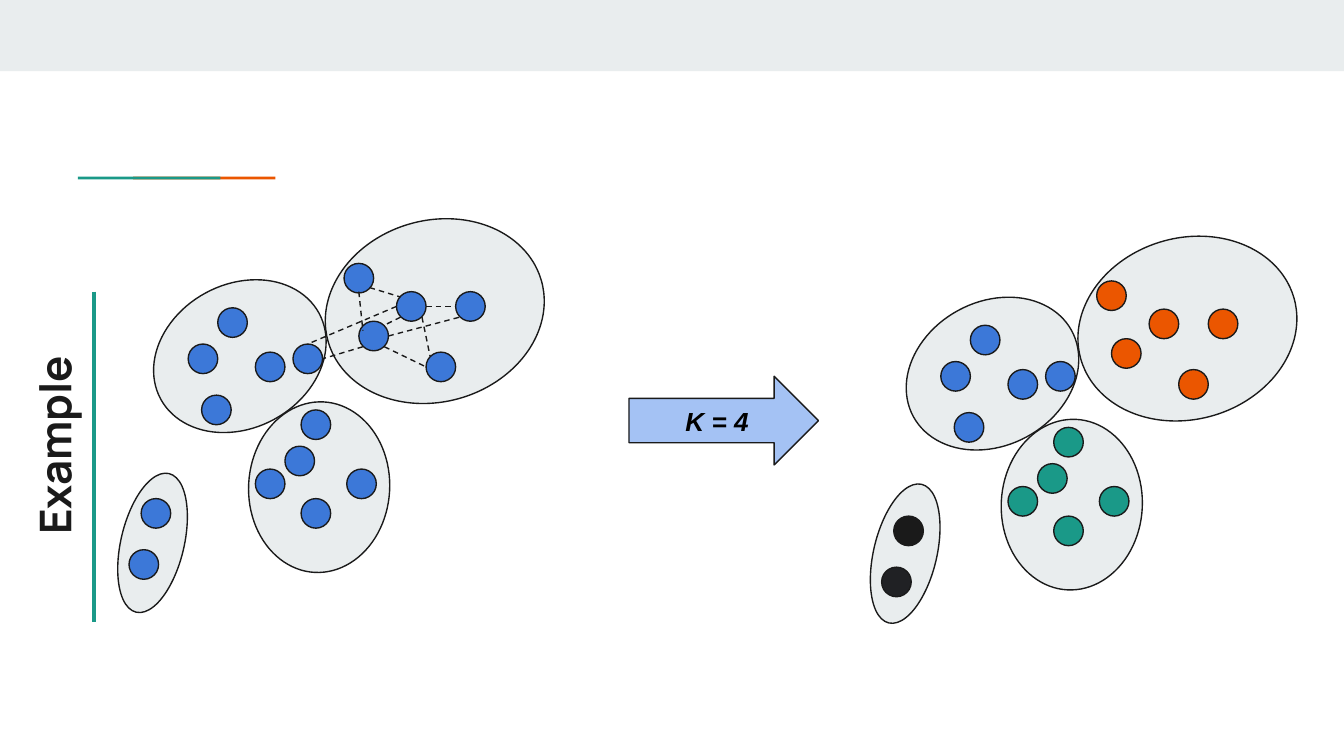
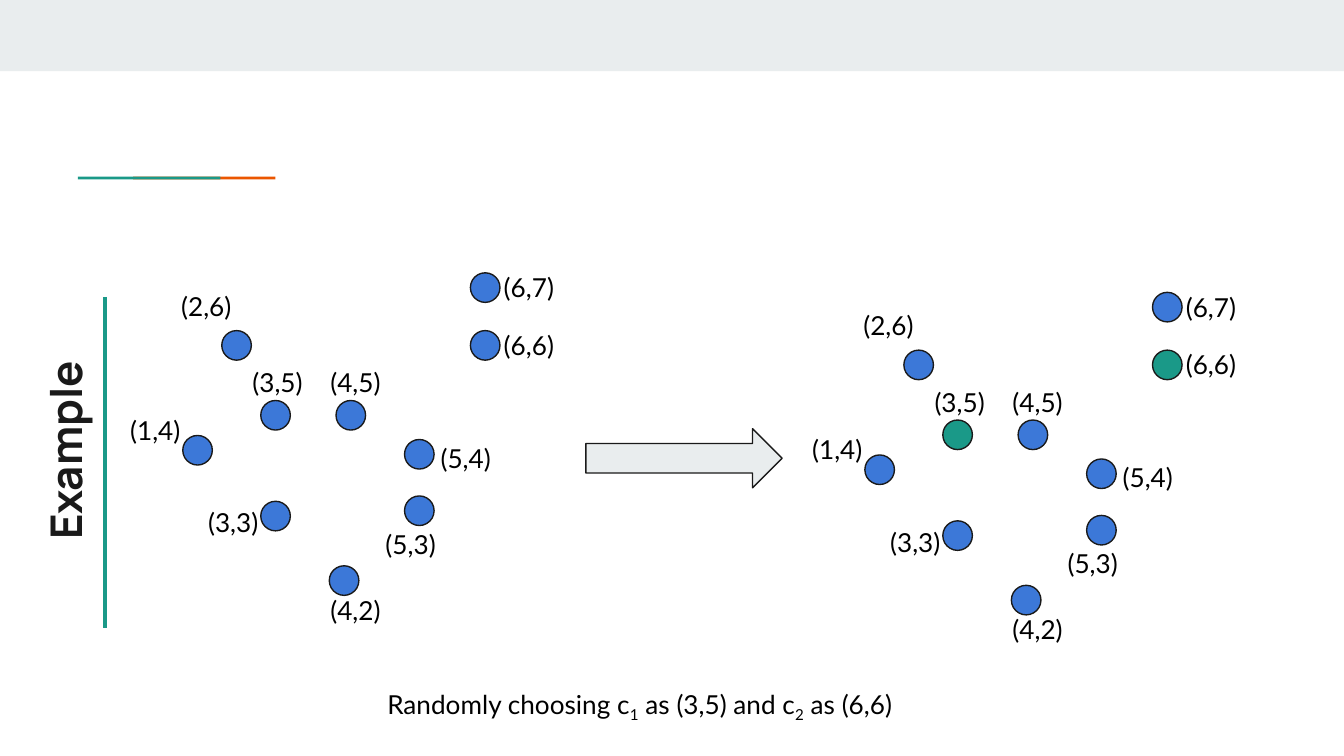
"""Build two slides that explain k-means clustering with dots, clusters and arrows."""
from lxml import etree
from pptx import Presentation
from pptx import util as u
from pptx.dml.color import RGBColor
from pptx.enum import dml, shapes, text
from pptx.oxml.ns import qn

INK = RGBColor(0x1A, 0x1A, 0x1A)
NIGHT = RGBColor(0x20, 0x21, 0x24)
BLACK = RGBColor(0, 0, 0)
MIST = RGBColor(0xE9, 0xED, 0xEE)
BLUE = RGBColor(0x3C, 0x78, 0xD8)
SKY = RGBColor(0xA4, 0xC2, 0xF4)
TEAL = RGBColor(0x1A, 0x99, 0x88)
ORANGE = RGBColor(0xEB, 0x56, 0x00)

COLUMNS, ROWS = 100, 56.25
DOT = 2.2
CELL = u.Inches(10) / COLUMNS

CLUSTERS = [
    (9, 35.1, 4.7, 10.6, 13.3, 0.8),
    (18.5, 29.9, 10.5, 12.7, 3, 1.3),
    (24.1, 16.4, 16.5, 13.5, 344, 1.3),
    (12.5, 19.8, 10.7, 13.4, 61.5, 1.3),
]
MEMBERS = [
    (BLUE, [(14, 25.6), (16.2, 22.9), (19, 26.2), (15, 29.4), (21.8, 25.6)]),
    (ORANGE, [(25.6, 19.6), (29.5, 21.7), (26.7, 23.9), (31.7, 26.2), (33.9, 21.7)]),
    (TEAL, [(21.2, 33.2), (22.4, 30.5), (25.8, 34.9), (19, 34.9), (22.4, 37.1)]),
    (NIGHT, [(9.6, 40.9)]),
    (INK, [(10.5, 37.1)]),
]
DISTANCES = [
    (29.8, 23.6, 28.6, 24.2), (31.4, 23.6, 32, 26.5), (31.7, 22.8, 33.9, 22.8),
    (27.5, 21.4, 29.8, 22.1), (29.5, 22.8, 22.9, 25.6), (27, 25.8, 24, 26.7),
    (26.7, 21.7, 27, 24.6), (28.9, 25, 34.2, 23.6), (28.6, 25.8, 31.7, 27.3),
]
POINTS = [
    ("(2,6)", 16.5, 24.6, 12.5, 20.6), ("(1,4)", 13.6, 32.4, 8.7, 29.8),
    ("(5,4)", 30.1, 32.7, 31.8, 31.9), ("(3,5)", 19.4, 29.8, 17.8, 26.3),
    ("(4,5)", 25, 29.8, 23.6, 26.3), ("(3,3)", 19.4, 37.3, 14.5, 36.7),
    ("(5,3)", 30.1, 36.9, 27.7, 38.3), ("(4,2)", 24.5, 42.1, 23.6, 43.2),
    ("(6,6)", 35, 24.6, 36.5, 23.5), ("(6,7)", 35, 20.3, 36.5, 19.2),
]
CENTROIDS = {"(3,5)", "(6,6)"}


def grid(*values):
    """Turn grid columns or rows into lengths."""
    return [u.Emu(round(v * CELL)) for v in values]


def write(tf, words, font="Lato", size=14, color=BLACK, bold=False, italic=False,
          align=text.PP_ALIGN.LEFT, left=1):
    """Write words into a frame; every second piece between bars is a subscript."""
    tf.word_wrap = True
    tf.margin_left, tf.margin_top, tf.margin_right, tf.margin_bottom = grid(left, 1, 1, 1)
    p = tf.paragraphs[0]
    p.alignment = align
    for i, piece in enumerate(words.split("|")):
        r = p.add_run()
        r.text = piece
        r.font.name, r.font.size = font, u.Pt(size)
        r.font.bold, r.font.italic = bold, italic
        r.font.color.rgb = color
        if i % 2:
            r._r.get_or_add_rPr().set("baseline", "-25000")


class Deck:
    """Hold the shared style and the current slide."""

    def __init__(self):
        """Start an empty deck."""
        self.prs = Presentation()
        self.prs.slide_width, self.prs.slide_height = grid(COLUMNS, ROWS)

    def slide(self):
        """Add a slide with the top band and the accent rule."""
        self.s = self.prs.slides.add_slide(self.prs.slide_layouts[6])
        self.shape(shapes.MSO_SHAPE.RECTANGLE, 0, 0, COLUMNS, 5.3, MIST, outline=False)
        for x, color in ((9.9, ORANGE), (5.8, TEAL)):
            self.shape(shapes.MSO_SHAPE.RECTANGLE, x, 13.15, 10.6, 0.2, color, outline=False)

    def shape(self, kind, x, y, w, h, fill, rotation=0, outline=True):
        """Add a filled preset shape."""
        sp = self.s.shapes.add_shape(kind, *grid(x, y, w, h))
        sp.shadow.inherit = False
        sp.rotation = rotation
        sp.fill.solid()
        sp.fill.fore_color.rgb = fill
        if outline:
            sp.line.color.rgb = INK
            sp.line.width = u.Pt(0.75)
        else:
            sp.line.fill.background()
        return sp

    def oval(self, x, y, w, h, fill, rotation=0):
        """Add a cluster outline."""
        self.shape(shapes.MSO_SHAPE.OVAL, x, y, w, h, fill, rotation)

    def dot(self, x, y, fill=BLUE):
        """Add a data point."""
        self.oval(x, y, DOT, DOT, fill)

    def arrow(self, x, y, w, h, fill):
        """Add a block arrow to the right."""
        return self.shape(shapes.MSO_SHAPE.RIGHT_ARROW, x, y, w, h, fill)

    def line(self, x1, y1, x2, y2, color=INK, width=0.75, dashed=False):
        """Add a straight line."""
        c = self.s.shapes.add_connector(shapes.MSO_CONNECTOR.STRAIGHT, *grid(x1, y1, x2, y2))
        c.line.color.rgb = color
        c.line.width = u.Pt(width)
        if dashed:
            c.line.dash_style = dml.MSO_LINE.DASH
        etree.SubElement(c._element.spPr, qn("a:effectLst"))

    def label(self, words, x, y, w=7, h=4.4, rotation=0, **fmt):
        """Add a text box."""
        sp = self.s.shapes.add_textbox(*grid(x, y, w, h))
        sp.rotation = rotation
        write(sp.text_frame, words, **fmt)

    def title(self, words, x, y):
        """Add the upright title and the rule beside it."""
        self.label(words, x - 14.7, y + 4.4, 23.4, 5.9, 270,
                   font="Manrope", size=23.4, color=INK, bold=True)
        self.line(x, y, x, y + 24.6, TEAL, 2.25)


def clusters_slide(deck):
    """Show points that fall into four clusters."""
    deck.slide()
    for dx, dy, found in ((0, 0, False), (56, 1.3, True)):
        for x, y, w, h, turn, drop in CLUSTERS:
            deck.oval(x + dx, y + (drop if found else 0), w, h, MIST, turn)
        for color, dots in MEMBERS:
            for x, y in dots:
                deck.dot(x + dx, y + dy, color if found else BLUE)
    for ends in DISTANCES:
        deck.line(*ends, dashed=True)
    sp = deck.arrow(46.8, 28, 14.1, 6.6, SKY)
    sp.text_frame.vertical_anchor = text.MSO_ANCHOR.MIDDLE
    write(sp.text_frame, "K = 4", font="Arial", bold=True, italic=True, left=4.2)
    deck.title("Example", 7, 21.7)


def centroids_slide(deck):
    """Show the choice of two first centroids."""
    deck.slide()
    for dx, dy, chosen in ((0, 0, set()), (50.75, 1.45, CENTROIDS)):
        for name, x, y, label_x, label_y in POINTS:
            deck.dot(x + dx, y + dy, TEAL if name in chosen else BLUE)
            deck.label(name, label_x + dx, label_y + dy)
    deck.arrow(43.6, 31.9, 14.6, 4.4, MIST)
    deck.label("Randomly choosing c|1| as (3,5) and c|2| as (6,6)", 23, 50.2, 49.2,
               align=text.PP_ALIGN.CENTER)
    deck.title("Example", 7.8, 22.1)


def main():
    """Build and save the deck."""
    deck = Deck()
    clusters_slide(deck)
    centroids_slide(deck)
    deck.prs.save("out.pptx")


if __name__ == "__main__":
    main()
